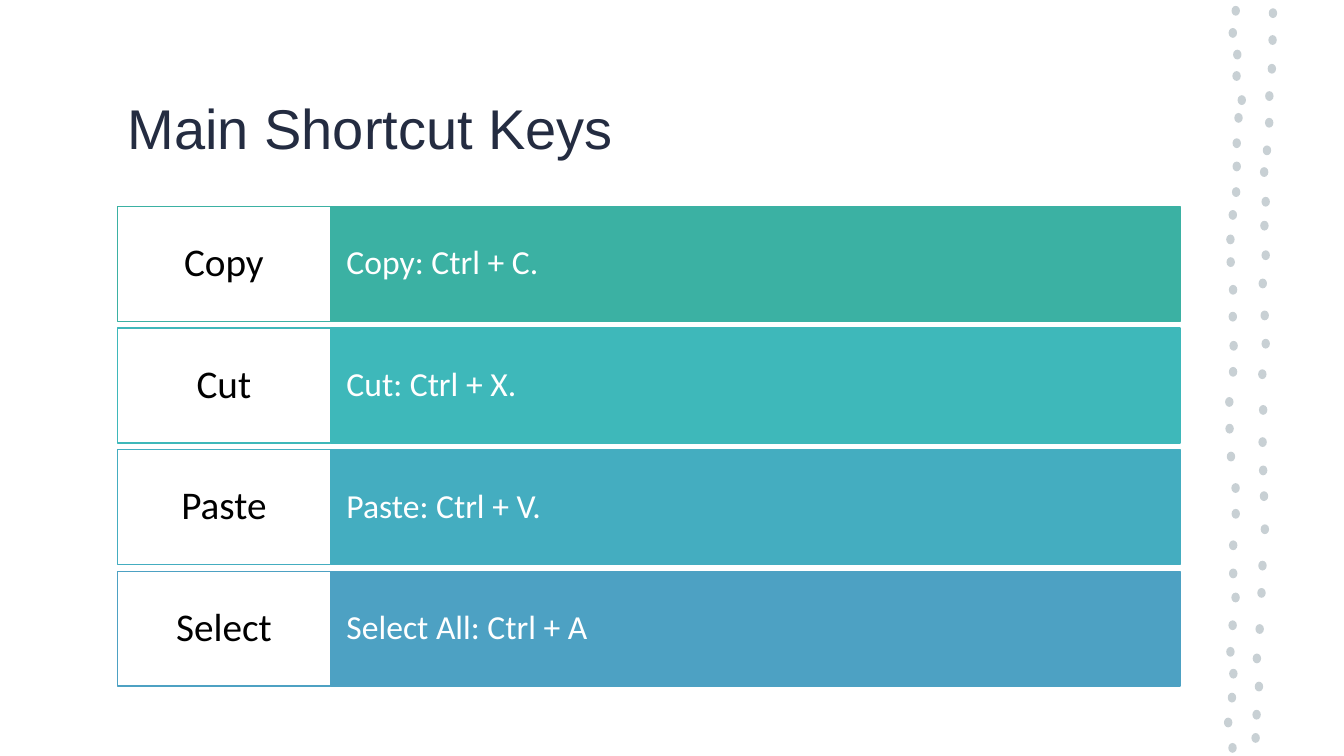
from pptx import Presentation
from pptx import util as u
from pptx.dml.color import RGBColor
from pptx.enum import shapes, text

LEFT, TOP, LABEL_W, BAR_W = 84, 147.5, 152, 607
ROW_H, PITCH = 82, 86.87
DOT_W, DOT_H = 6, 7

ROWS = [
    ("Copy", "Copy: Ctrl + C.", "3BB1A3"),
    ("Cut", "Cut: Ctrl + X.", "3EB8BA"),
    ("Paste", "Paste: Ctrl + V.", "44ADC0"),
    ("Select", "Select All: Ctrl + A", "4DA1C3"),
]

LEFT_DOTS = [
    (882.7, 7.7), (880.6, 23.5), (883.8, 39), (883.3, 54.3), (887, 71.5),
    (884.7, 84.2), (883.4, 102.3), (883.4, 118.9), (883, 137.2), (880.6, 153.5),
    (878.9, 171), (879.1, 187.2), (880.8, 207), (880.6, 226.2), (881.2, 247),
    (880.8, 265.6), (878.1, 287.1), (878.3, 306.2), (879.3, 326.1), (882.6, 348.6),
    (882.7, 367), (880.9, 389.5), (880.9, 409.6), (882.6, 426.8), (880.5, 446.6),
    (878.9, 465.6), (881, 481.2), (880, 498.3), (877.3, 516.1), (880.4, 534.2),
]
RIGHT_DOTS = [
    (909.3, 9.4), (909, 28.6), (908.5, 49.1), (906.7, 68.6), (906.6, 87.7),
    (905, 107.4), (903, 122.9), (904.1, 144.1), (903.2, 161.2), (904.1, 182.3),
    (902, 202.5), (903.4, 225.3), (904.1, 245.5), (901.7, 267.3), (902.3, 292.8),
    (901.9, 315.8), (902.3, 336), (902.9, 354.4), (903.5, 378), (901.8, 404),
    (901.1, 423.5), (899.8, 449.3), (897.8, 470.3), (899.3, 490.4), (897.6, 510.5),
    (896.9, 527.1),
]


def rgb(value):
    return RGBColor.from_string(value)


def place(sp, x, y, w, h):
    sp.left, sp.top, sp.width, sp.height = map(u.Pt, (x, y, w, h))


def write(sp, words, font, size, color, align, inset):
    tf = sp.text_frame
    tf.word_wrap = True
    tf.auto_size = text.MSO_AUTO_SIZE.NONE
    tf.vertical_anchor = text.MSO_ANCHOR.MIDDLE
    tf.margin_left = tf.margin_right = u.Pt(inset)
    tf.text = words
    p = tf.paragraphs[0]
    p.alignment = align
    p.line_spacing = 0.9
    p.font.name = font
    p.font.size = u.Pt(size)
    p.font.color.rgb = rgb(color)


def add_filled(s, kind, x, y, w, h, fill, line=None):
    sp = s.shapes.add_shape(kind, *map(u.Pt, (x, y, w, h)))
    sp.shadow.inherit = False
    sp.fill.solid()
    sp.fill.fore_color.rgb = rgb(fill)
    if line:
        sp.line.color.rgb = rgb(line)
        sp.line.width = u.Pt(1)
    else:
        sp.line.fill.background()
    return sp


def add_title(s, words):
    sp = s.shapes.title
    place(sp, LEFT, 39.5, LABEL_W + BAR_W, 108)
    write(sp, words, "Arial", 40, "242C41", text.PP_ALIGN.LEFT, 7.2)


def add_row(s, y, label, shortcut, color):
    rect = shapes.MSO_SHAPE.RECTANGLE
    bar = add_filled(s, rect, LEFT + LABEL_W, y, BAR_W, ROW_H, color, color)
    write(bar, shortcut, "Calibri", 24, "FFFFFF", text.PP_ALIGN.LEFT, 11.5)
    box = add_filled(s, rect, LEFT, y, LABEL_W, ROW_H, "FFFFFF", color)
    write(box, label, "Calibri", 28, "000000", text.PP_ALIGN.CENTER, 8)


def add_dot(s, x, y):
    add_filled(s, shapes.MSO_SHAPE.OVAL, x - DOT_W / 2, y - DOT_H / 2,
               DOT_W, DOT_H, "C8D0D4")


def main():
    prs = Presentation()
    prs.slide_width, prs.slide_height = u.Pt(960), u.Pt(540)
    s = prs.slides.add_slide(prs.slide_layouts[5])
    for x, y in LEFT_DOTS + RIGHT_DOTS:
        add_dot(s, x, y)
    add_title(s, "Main Shortcut Keys")
    for i, row in enumerate(ROWS):
        add_row(s, TOP + i * PITCH, *row)
    prs.save("out.pptx")


if __name__ == "__main__":
    main()
